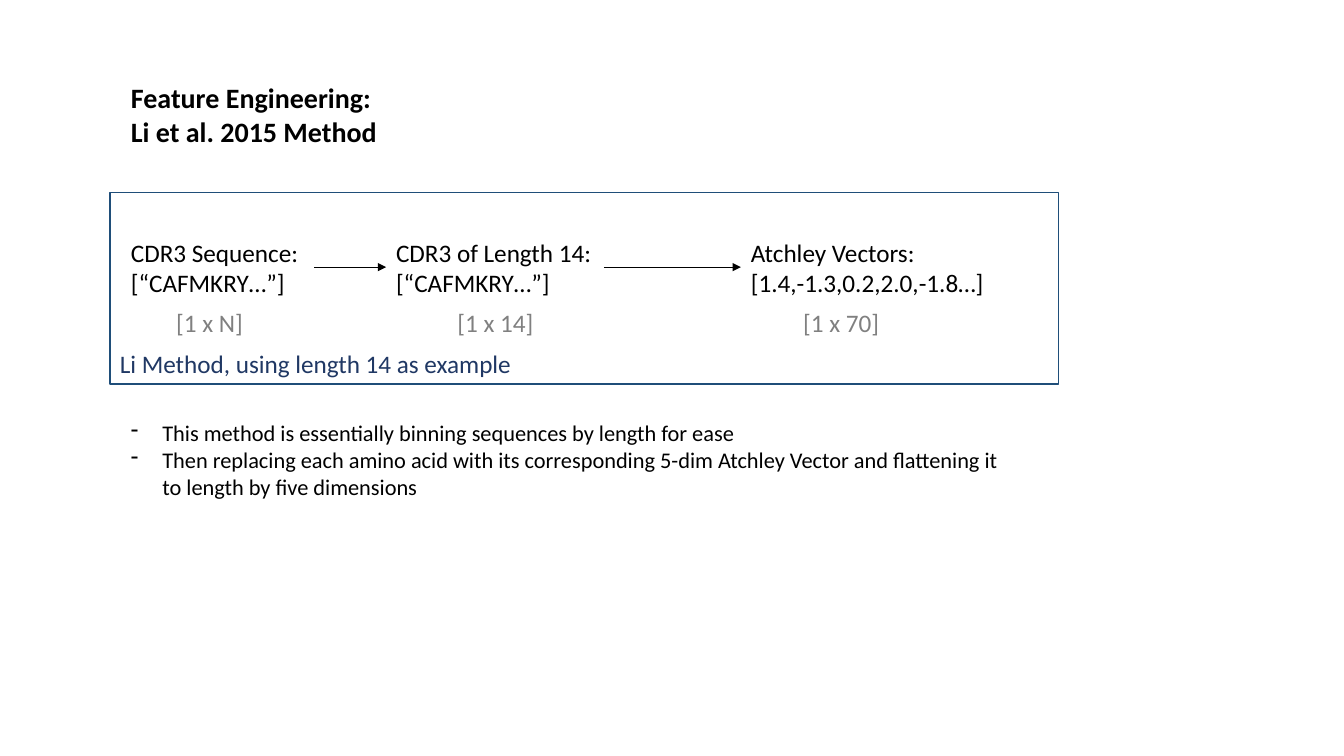
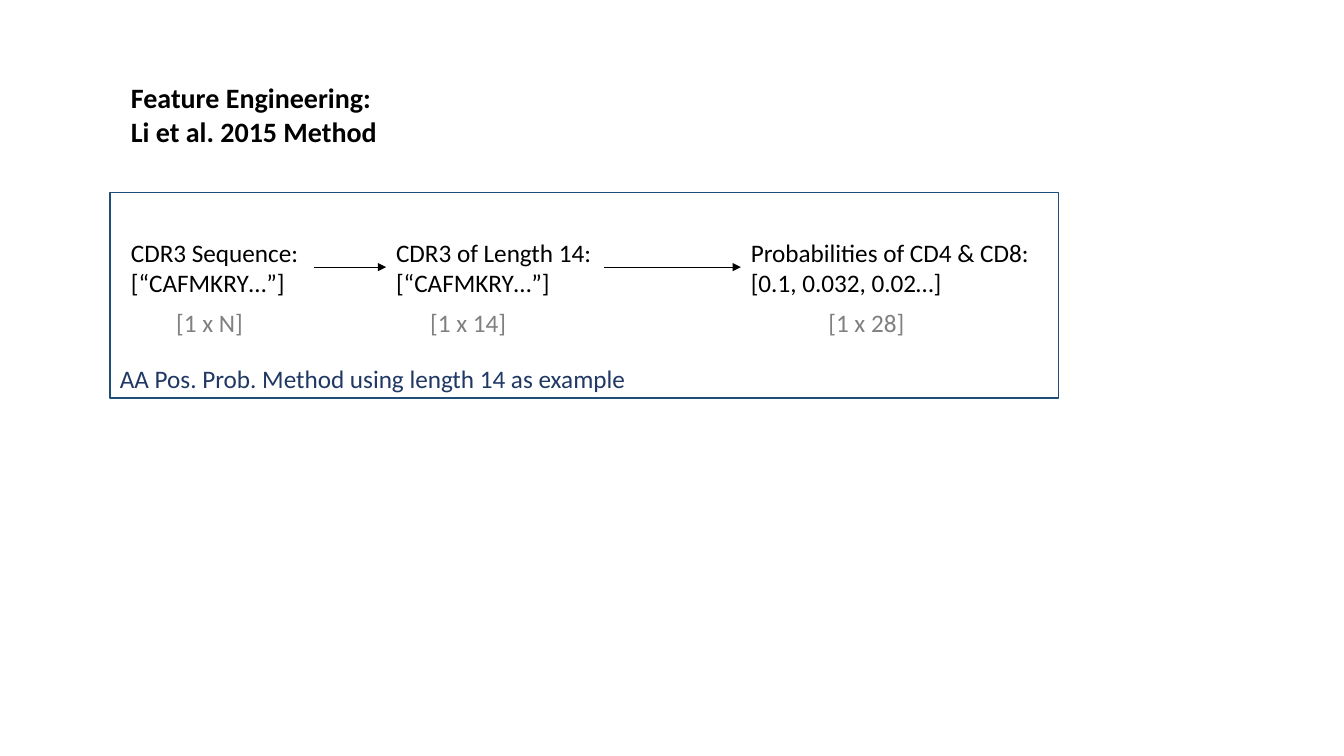
"""Build two slides on feature engineering of CDR3 sequences."""
from lxml.etree import SubElement
from pptx import Presentation
from pptx.dml.color import RGBColor
from pptx.enum.shapes import MSO_CONNECTOR, MSO_SHAPE
from pptx.enum.text import MSO_ANCHOR, PP_ALIGN
from pptx.oxml.ns import qn
from pptx.util import Pt

BLACK = RGBColor(0x00, 0x00, 0x00)
GRAY = RGBColor(0x80, 0x80, 0x80)
NAVY = RGBColor(0x20, 0x38, 0x64)
BLUE = RGBColor(0x1F, 0x4E, 0x79)

BODY = {"name": "Calibri", "size": Pt(18), "bold": False}
TITLE = {"name": "Calibri", "size": Pt(20), "bold": True}
NOTE = {"name": "Calibri", "size": Pt(16), "bold": False}

LEFT, STEP_TOP, SIZE_TOP, ARROW_Y = 86.4, 165.6, 216, 190.8
ARROWS = [(224.6, 275.8), (431.3, 529.2)]
SEQUENCE = (LEFT, 137.5, ["CDR3 Sequence:", "[“CAFMKRY…”]"])
TRIMMED = (275.8, 156.2, ["CDR3 of Length 14:", "[“CAFMKRY…”]"])

SLIDES = [
    {
        "caption": "Li Method, using length 14 as example",
        "height": 136.8,
        "steps": [SEQUENCE, TRIMMED,
                  (529.2, 183.6, ["Atchley Vectors:", "[1.4,-1.3,0.2,2.0,-1.8…]"])],
        "sizes": [(118.8, "[1 x N]"), (319.7, "[1 x 14]"), (566.6, "[1 x 70]")],
        "notes": [
            "This method is essentially binning sequences by length for ease",
            "Then replacing each amino acid with its corresponding 5-dim Atchley "
            "Vector and flattening it to length by five dimensions",
        ],
    },
    {
        "caption": "AA Pos. Prob. Method using length 14 as example",
        "height": 146.9,
        "steps": [SEQUENCE, TRIMMED,
                  (529.2, 216, ["Probabilities of CD4 & CD8:", "[0.1, 0.032, 0.02…]"])],
        "sizes": [(118.8, "[1 x N]"), (300.2, "[1 x 14]"), (584.6, "[1 x 28]")],
        "notes": [],
    },
]


def write(tf, lines, style, color, bullet=None):
    """Fill a text frame with one paragraph per line."""
    tf.word_wrap = True
    for i, line in enumerate(lines):
        p = tf.paragraphs[0] if i == 0 else tf.add_paragraph()
        p.alignment = PP_ALIGN.LEFT
        if bullet:
            pPr = p._p.get_or_add_pPr()
            pPr.set("marL", str(Pt(22.5)))
            pPr.set("indent", str(-Pt(22.5)))
            SubElement(pPr, qn("a:buChar")).set("char", bullet)
        r = p.add_run()
        r.text = line
        for key, value in style.items():
            setattr(r.font, key, value)
        r.font.color.rgb = color


def add_text(s, x, y, w, h, lines, style, color, bullet=None):
    """Add a text box measured in points."""
    box = s.shapes.add_textbox(Pt(x), Pt(y), Pt(w), Pt(h))
    write(box.text_frame, lines, style, color, bullet)


prs = Presentation()
prs.slide_width, prs.slide_height = Pt(960), Pt(540)

for data in SLIDES:
    s = prs.slides.add_slide(prs.slide_layouts[6])

    frame = s.shapes.add_shape(MSO_SHAPE.RECTANGLE, Pt(78.5), Pt(137.5),
                               Pt(677.5), Pt(data["height"]))
    frame.shadow.inherit = False
    frame.fill.background()
    frame.line.color.rgb = BLUE
    frame.line.width = Pt(1)
    frame.text_frame.vertical_anchor = MSO_ANCHOR.BOTTOM
    write(frame.text_frame, [data["caption"]], BODY, NAVY)

    add_text(s, LEFT, 54, 232.6, 55.4,
             ["Feature Engineering:", "Li et al. 2015 Method"], TITLE, BLACK)
    for x, w, lines in data["steps"]:
        add_text(s, x, STEP_TOP, w, 51.1, lines, BODY, BLACK)
    for x, size in data["sizes"]:
        add_text(s, x, SIZE_TOP, 90, 28.8, [size], BODY, GRAY)

    for start, end in ARROWS:
        arrow = s.shapes.add_connector(MSO_CONNECTOR.STRAIGHT, Pt(start), Pt(ARROW_Y),
                                       Pt(end), Pt(ARROW_Y))
        arrow.line.color.rgb = BLACK
        arrow.line.width = Pt(0.5)
        SubElement(arrow.line._get_or_add_ln(), qn("a:tailEnd")).set("type", "triangle")
        SubElement(arrow._element.spPr, qn("a:effectLst"))

    if data["notes"]:
        add_text(s, LEFT, 295.9, 647.3, 123.8, data["notes"], NOTE, BLACK, "-")

prs.save("out.pptx")
